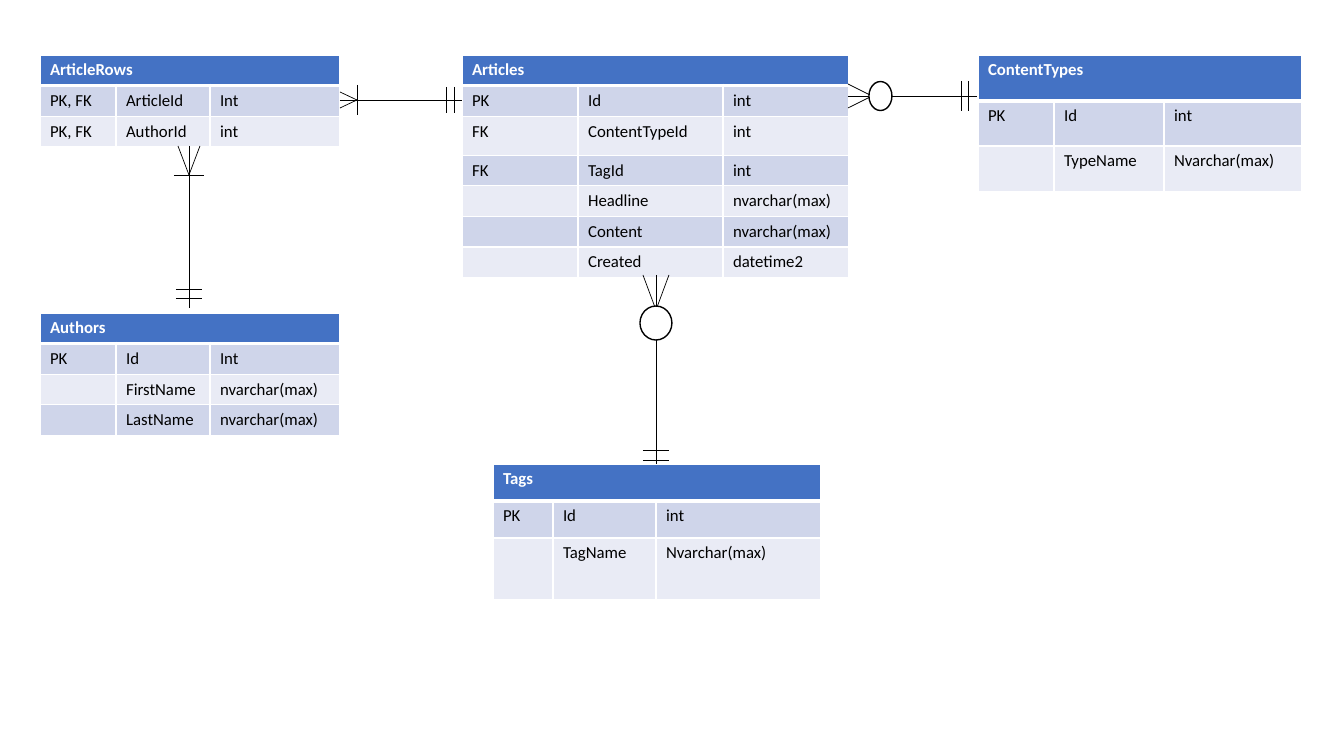
from dataclasses import dataclass
from typing import Optional

from lxml.etree import SubElement
from pptx import Presentation
from pptx.dml.color import RGBColor
from pptx.enum.shapes import MSO_CONNECTOR, MSO_SHAPE
from pptx.oxml.ns import qn
from pptx.util import Pt

EMU_PER_PIXEL = 914400 / 100.8


@dataclass(frozen=True)
class Theme:
    font: str = "Calibri"
    text_size: float = 12
    line_width: float = 0.5
    ring_width: float = 1
    border_width: float = 1
    header_border_width: float = 3
    header: RGBColor = RGBColor(0x44, 0x72, 0xC4)
    bands: tuple = (RGBColor(0xCF, 0xD5, 0xEA), RGBColor(0xE9, 0xEB, 0xF5))
    white: RGBColor = RGBColor(0xFF, 0xFF, 0xFF)
    black: RGBColor = RGBColor(0, 0, 0)


@dataclass(frozen=True)
class Entity:
    name: str
    left: int
    top: int
    widths: tuple
    heights: tuple
    fields: tuple


@dataclass(frozen=True)
class Ring:
    start: int
    length: int
    breadth: int


@dataclass(frozen=True)
class Relation:
    vertical: bool
    axis: int
    foot: int
    apex: int
    end: int
    spread: int
    one_bars: tuple
    bar_half: int
    ring: Optional[Ring] = None


THEME = Theme()
MANY_BAR_HALF = 15

RELATIONS = (
    Relation(False, 100, 340, 357, 462, 8, (446, 454), 13),
    Relation(False, 96, 848, 872, 977, 12, (961, 968), 15, Ring(869, 23, 29)),
    Relation(True, 656, 275, 310, 464, 13, (450, 460), 13, Ring(306, 34, 32)),
    Relation(True, 189, 146, 175, 308, 11, (289, 298), 13),
)

ENTITIES = (
    Entity("Authors", 40, 313, (76, 94, 130), (30,) * 4, (
        ("PK", "Id", "Int"),
        ("", "FirstName", "nvarchar(max)"),
        ("", "LastName", "nvarchar(max)"),
    )),
    Entity("Articles", 462, 55, (116, 145, 126), (30, 30, 39, 30, 30, 30, 30), (
        ("PK", "Id", "int"),
        ("FK", "ContentTypeId", "int"),
        ("FK", "TagId", "int"),
        ("", "Headline", "nvarchar(max)"),
        ("", "Content", "nvarchar(max)"),
        ("", "Created", "datetime2"),
    )),
    Entity("ContentTypes", 978, 55, (76, 110, 138), (46, 45, 46), (
        ("PK", "Id", "int"),
        ("", "TypeName", "Nvarchar(max)"),
    )),
    Entity("Tags", 493, 464, (60, 103, 165), (37, 37, 62), (
        ("PK", "Id", "int"),
        ("", "TagName", "Nvarchar(max)"),
    )),
    Entity("ArticleRows", 40, 55, (76, 94, 130), (30,) * 3, (
        ("PK, FK", "ArticleId", "Int"),
        ("PK, FK", "AuthorId", "int"),
    )),
)


def px(pixels: float) -> int:
    return round(pixels * EMU_PER_PIXEL)


def set_borders(cell, top: float, bottom: float) -> None:
    side = THEME.border_width
    properties = cell._tc.get_or_add_tcPr()
    for edge, width in (("L", side), ("R", side), ("T", top), ("B", bottom)):
        line = SubElement(properties, qn(f"a:ln{edge}"), w=str(Pt(width)))
        fill = SubElement(line, qn("a:solidFill"))
        SubElement(fill, qn("a:srgbClr"), val=str(THEME.white))


def fill_cell(cell, text: str, fill: RGBColor, color: RGBColor, bold: bool) -> None:
    cell.fill.solid()
    cell.fill.fore_color.rgb = fill
    paragraph = cell.text_frame.paragraphs[0]
    if text:
        paragraph.add_run().text = text
    paragraph.font.name = THEME.font
    paragraph.font.size = Pt(THEME.text_size)
    paragraph.font.bold = bold
    paragraph.font.color.rgb = color


def draw_entity(page, entity: Entity) -> None:
    table = page.shapes.add_table(
        len(entity.heights), len(entity.widths), px(entity.left), px(entity.top),
        px(sum(entity.widths)), px(sum(entity.heights))).table
    for column, width in zip(table.columns, entity.widths):
        column.width = px(width)
    for row_index, (row, height) in enumerate(zip(table.rows, entity.heights)):
        row.height = px(height)
        top = THEME.header_border_width if row_index == 1 else THEME.border_width
        bottom = THEME.header_border_width if row_index == 0 else THEME.border_width
        for cell in row.cells:
            set_borders(cell, top, bottom)
    table.cell(0, 0).merge(table.cell(0, len(entity.widths) - 1))
    fill_cell(table.cell(0, 0), entity.name, THEME.header, THEME.white, True)
    for row_index, field in enumerate(entity.fields):
        band = THEME.bands[row_index % 2]
        for column_index, text in enumerate(field):
            cell = table.cell(row_index + 1, column_index)
            fill_cell(cell, text, band, THEME.black, False)


def draw_line(page, relation: Relation, start: tuple, end: tuple) -> None:
    points = [(along, relation.axis + across) for along, across in (start, end)]
    if relation.vertical:
        points = [(x, y) for y, x in points]
    (x1, y1), (x2, y2) = points
    line = page.shapes.add_connector(
        MSO_CONNECTOR.STRAIGHT, px(x1), px(y1), px(x2), px(y2))
    line.line.color.rgb = THEME.black
    line.line.width = Pt(THEME.line_width)
    SubElement(line._element.spPr, qn("a:effectLst"))


def draw_bar(page, relation: Relation, along: int, half: int) -> None:
    draw_line(page, relation, (along, -half), (along, half))


def draw_ring(page, relation: Relation, ring: Ring) -> None:
    position = (ring.start, relation.axis - ring.breadth / 2)
    size = (ring.length, ring.breadth)
    if relation.vertical:
        position, size = position[::-1], size[::-1]
    oval = page.shapes.add_shape(
        MSO_SHAPE.OVAL, *(px(value) for value in position + size))
    oval.shadow.inherit = False
    oval.fill.solid()
    oval.fill.fore_color.rgb = THEME.white
    oval.line.color.rgb = THEME.black
    oval.line.width = Pt(THEME.ring_width)


def draw_relation(page, relation: Relation) -> None:
    draw_line(page, relation, (relation.foot, 0), (relation.end, 0))
    for side in (-relation.spread, relation.spread):
        draw_line(page, relation, (relation.apex, 0), (relation.foot, side))
    for along in relation.one_bars:
        draw_bar(page, relation, along, relation.bar_half)
    if relation.ring:
        draw_ring(page, relation, relation.ring)
    else:
        draw_bar(page, relation, relation.apex, MANY_BAR_HALF)


def build() -> None:
    deck = Presentation()
    deck.slide_width = px(1344)
    deck.slide_height = px(756)
    page = deck.slides.add_slide(deck.slide_layouts[6])
    for entity in ENTITIES:
        draw_entity(page, entity)
    for relation in RELATIONS:
        draw_relation(page, relation)
    deck.save("out.pptx")


build()
